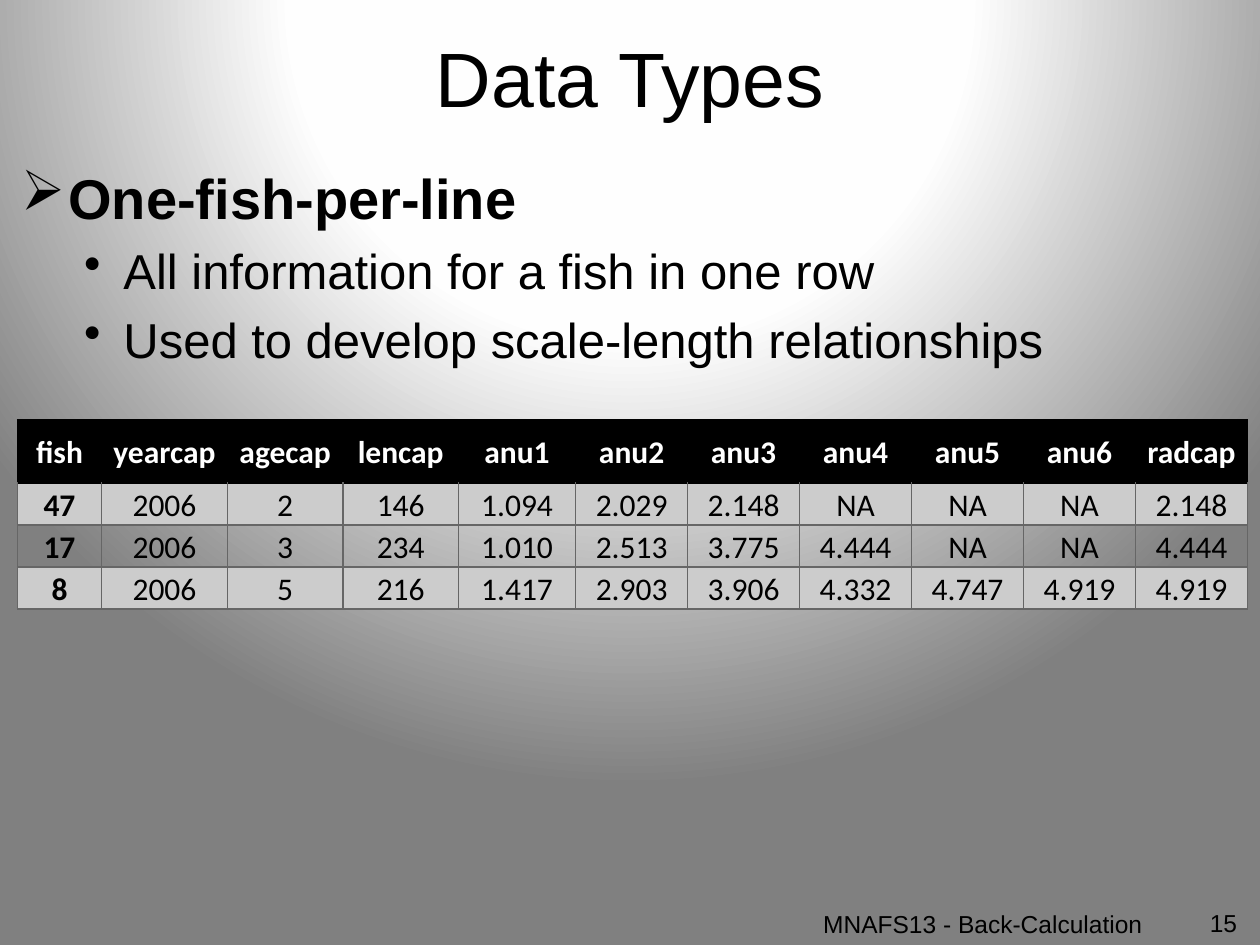
from dataclasses import dataclass

from lxml import etree
from pptx import Presentation
from pptx import util as u
from pptx.dml.color import RGBColor
from pptx.enum import text
from pptx.oxml import parse_xml
from pptx.oxml.ns import nsdecls, qn

COLORS = {
    "ink": "000000",
    "paper": "FFFFFF",
    "glow": "FEFEFE",
    "dusk": "808080",
    "band": "CCCCCC",
    "grid": "666666",
}
NO_TABLE_STYLE = "{2D5ABB26-0587-4C30-8999-92F81FD0307C}"

BULLETS = [
    ("➢", "One-fish-per-line", 32, True, 27, 27),
    ("•", "All information for a fish in one row", 28, False, 58.5, 22.5),
    ("•", "Used to develop scale-length relationships", 28, False, 58.5, 22.5),
]
COLUMN_WIDTHS = [48, 72, 66, 66, 67] + [64] * 6
ROW_HEIGHTS = [36, 24, 24, 24]
FISH_ROWS = [
    "fish yearcap agecap lencap anu1 anu2 anu3 anu4 anu5 anu6 radcap".split(),
    "47 2006 2 146 1.094 2.029 2.148 NA NA NA 2.148".split(),
    "17 2006 3 234 1.010 2.513 3.775 4.444 NA NA 4.444".split(),
    "8 2006 5 216 1.417 2.903 3.906 4.332 4.747 4.919 4.919".split(),
]


@dataclass
class SlideBuilder:
    slide: object
    text_font: str = "Arial"
    table_font: str = "Calibri"
    table_size: float = 18

    def background(self, stops):
        self.slide.background.fill.solid()
        properties = self.slide.background._cSld.bg.bgPr
        properties.remove(properties.find(qn("a:solidFill")))
        stop_xml = "".join(
            f'<a:gs pos="{position * 1000}"><a:srgbClr val="{COLORS[color]}"/></a:gs>'
            for position, color in stops
        )
        properties.insert(0, parse_xml(
            f'<a:gradFill {nsdecls("a")} rotWithShape="1"><a:gsLst>{stop_xml}</a:gsLst>'
            '<a:path path="circle">'
            '<a:fillToRect l="50000" t="-80000" r="50000" b="180000"/>'
            '</a:path></a:gradFill>'
        ))

    def style(self, paragraph, font_name, size, color="ink", bold=False):
        paragraph.font.name = font_name
        paragraph.font.size = u.Pt(size)
        paragraph.font.bold = bold
        paragraph.font.color.rgb = RGBColor.from_string(COLORS[color])

    def frame(self, left, top, width, height):
        shape = self.slide.shapes.add_textbox(*map(u.Pt, (left, top, width, height)))
        shape.text_frame.word_wrap = True
        return shape.text_frame

    def label(self, box, words, size, align, anchor=text.MSO_ANCHOR.TOP):
        frame = self.frame(*box)
        frame.vertical_anchor = anchor
        paragraph = frame.paragraphs[0]
        paragraph.text = words
        paragraph.alignment = align
        self.style(paragraph, self.text_font, size)

    def bullets(self, box, items):
        frame = self.frame(*box)
        for index, (mark, words, size, bold, margin, hanging) in enumerate(items):
            paragraph = frame.add_paragraph() if index else frame.paragraphs[0]
            paragraph.text = words
            self.style(paragraph, self.text_font, size, bold=bold)
            properties = paragraph._p.get_or_add_pPr()
            properties.set("marL", str(u.Pt(margin)))
            properties.set("indent", str(-u.Pt(hanging)))
            spacing = etree.Element(qn("a:spcBef"))
            etree.SubElement(spacing, qn("a:spcPct"), val="20000")
            bullet = etree.Element(qn("a:buChar"), char=mark)
            properties.insert(0, spacing)
            properties.insert(1, bullet)

    def borders(self, cell, **colors):
        properties = cell._tc.get_or_add_tcPr()
        for side in "LRTB":
            color = COLORS[colors.get(side, colors["default"])]
            properties.append(parse_xml(
                f'<a:ln{side} {nsdecls("a")} w="{u.Pt(1)}"><a:solidFill>'
                f'<a:srgbClr val="{color}"/></a:solidFill></a:ln{side}>'
            ))

    def cell(self, cell, words, row, column):
        header = row == 0
        cell.margin_left = cell.margin_right = u.Pt(5)
        cell.margin_top = cell.margin_bottom = 0
        cell.vertical_anchor = text.MSO_ANCHOR.MIDDLE
        if header:
            self.borders(cell, default="ink")
        elif row == 1:
            self.borders(cell, default="grid", T="ink")
        else:
            self.borders(cell, default="grid")
        if row == 2:
            cell.fill.background()
        else:
            cell.fill.solid()
            cell.fill.fore_color.rgb = RGBColor.from_string(
                COLORS["ink" if header else "band"])
        paragraph = cell.text_frame.paragraphs[0]
        paragraph.text = words
        paragraph.alignment = text.PP_ALIGN.CENTER
        paragraph.line_spacing = 1.07
        self.style(paragraph, self.table_font, self.table_size,
                   "paper" if header else "ink", header or column == 0)

    def table(self, left, top, widths, heights, rows):
        box = (left, top, sum(widths), sum(heights))
        table = self.slide.shapes.add_table(
            len(rows), len(widths), *map(u.Pt, box)).table
        table.first_row = table.horz_banding = False
        table._tbl.tblPr.find(qn("a:tableStyleId")).text = NO_TABLE_STYLE
        for column, width in zip(table.columns, widths):
            column.width = u.Pt(width)
        for row, height in zip(table.rows, heights):
            row.height = u.Pt(height)
        for row, values in enumerate(rows):
            for column, words in enumerate(values):
                self.cell(table.cell(row, column), words, row, column)


def main():
    presentation = Presentation()
    presentation.slide_width, presentation.slide_height = u.Pt(720), u.Pt(540)
    builder = SlideBuilder(presentation.slides.add_slide(presentation.slide_layouts[6]))
    builder.background([(40, "paper"), (43, "glow"), (100, "dusk")])
    builder.label((5, 9.5, 710, 68.5), "Data Types", 44,
                  text.PP_ALIGN.CENTER, text.MSO_ANCHOR.MIDDLE)
    builder.bullets((5, 90, 679, 420), BULLETS)
    builder.label((432, 516, 228, 18), "MNAFS13 - Back-Calculation", 14,
                  text.PP_ALIGN.RIGHT)
    builder.label((666, 515.5, 48, 24.5), "15", 14, text.PP_ALIGN.RIGHT)
    builder.table(10, 240, COLUMN_WIDTHS, ROW_HEIGHTS, FISH_ROWS)
    presentation.save("out.pptx")


if __name__ == "__main__":
    main()
